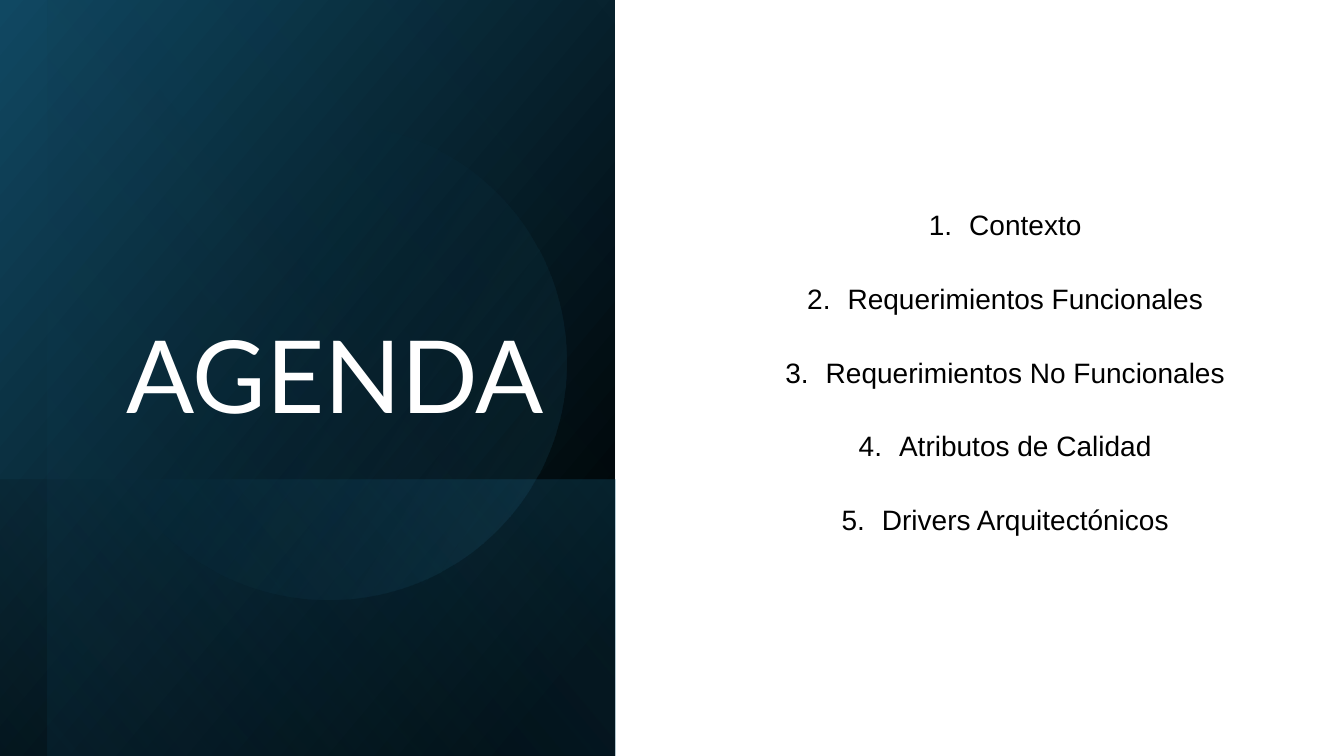
from lxml import etree
from pptx import Presentation
from pptx.dml.color import RGBColor
from pptx.enum.shapes import MSO_SHAPE
from pptx.enum.text import MSO_ANCHOR, MSO_AUTO_SIZE, PP_ALIGN
from pptx.oxml.ns import qn
from pptx.util import Inches, Pt

RECT, OVAL = MSO_SHAPE.RECTANGLE, MSO_SHAPE.OVAL
MIDDLE, BOTTOM = MSO_ANCHOR.MIDDLE, MSO_ANCHOR.BOTTOM
CENTER, RIGHT = PP_ALIGN.CENTER, PP_ALIGN.RIGHT

COLORS = {
    "black": "000000",
    "white": "FFFFFF",
    "deep": "104862",
    "teal": "156082",
    "sky": "46B1E1",
}
TOPICS = [
    "Contexto",
    "Requerimientos Funcionales",
    "Requerimientos No Funcionales",
    "Atributos de Calidad",
    "Drivers Arquitectónicos",
]


def shade(shape, stops, angle):
    """Fill with a linear gradient; each stop is (percent, color, opacity)."""
    props = shape._element.spPr
    grad = etree.Element(qn("a:gradFill"), rotWithShape="1")
    items = etree.SubElement(grad, qn("a:gsLst"))
    for pos, name, alpha in stops:
        stop = etree.SubElement(items, qn("a:gs"), pos=str(pos * 1000))
        color = etree.SubElement(stop, qn("a:srgbClr"), val=COLORS[name])
        if alpha < 100:
            etree.SubElement(color, qn("a:alpha"), val=str(alpha * 1000))
    etree.SubElement(grad, qn("a:lin"), ang=str(angle * 60000), scaled="0")
    props.find(qn("a:prstGeom")).addnext(grad)


def add_layer(slide, kind, box, stops, angle, turn=90, flip=True):
    """Add a turned gradient shape that covers the box as seen."""
    left, top, wide, high = box
    x, y = left + (wide - high) / 2, top + (high - wide) / 2
    shape = slide.shapes.add_shape(
        kind, Inches(x), Inches(y), Inches(high), Inches(wide))
    shape.rotation = turn
    if flip:
        shape._element.spPr.find(qn("a:xfrm")).set("flipH", "1")
    shape.shadow.inherit = False
    shape.line.fill.background()
    shade(shape, stops, angle)


def number(para, font):
    props = para._p.get_or_add_pPr()
    props.set("marL", str(Inches(0.8)))
    props.set("indent", str(Inches(-0.4)))
    etree.SubElement(props, qn("a:buFont"), typeface=font)
    etree.SubElement(props, qn("a:buAutoNum"), type="arabicPeriod")


def write(shape, lines, size, font, color, align, anchor,
          leading, gap=0, numbered=False):
    frame = shape.text_frame
    frame.word_wrap = True
    frame.auto_size = MSO_AUTO_SIZE.NONE
    frame.vertical_anchor = anchor
    for i, line in enumerate(lines):
        para = frame.add_paragraph() if i else frame.paragraphs[0]
        if numbered:
            number(para, font)
        para.alignment = align
        para.line_spacing = leading
        para.space_before = Pt(gap if i else 0)
        run = para.add_run()
        run.text = line
        run.font.size = Pt(size)
        run.font.name = font
        run.font.color.rgb = RGBColor.from_string(COLORS[color])


def add_panel(slide, box):
    left, top, wide, high = box
    add_layer(slide, RECT, box,
              [(8, "black", 100), (100, "deep", 100)], 50)
    add_layer(slide, RECT, (left, top + high - 2.74, wide, 2.74),
              [(2, "teal", 29), (100, "black", 30)], 130)
    add_layer(slide, RECT, (left + 0.47, top, wide - 0.47, high),
              [(0, "black", 0), (99, "teal", 11)], 130)
    add_layer(slide, OVAL, (left + 0.9, top + 1.23, 4.72, 4.72),
              [(39, "teal", 0), (100, "sky", 15)], 290, 101.6, False)
    title = slide.shapes.title
    title.left, title.top = Inches(left + 0.76), Inches(top + 1.63)
    title.width, title.height = Inches(4.74), Inches(2.74)
    slide.shapes._spTree.append(title._element)
    write(title, ["AGENDA"], 72, "Lato", "white", RIGHT, BOTTOM, 0.9)


def add_topics(slide, box):
    shape = slide.shapes.add_textbox(*map(Inches, box))
    write(shape, TOPICS, 20, "Arial", "black", CENTER, MIDDLE,
          Pt(47.6), gap=5, numbered=True)


def main():
    deck = Presentation()
    deck.slide_width, deck.slide_height = Inches(13.33), Inches(7.5)
    slide = deck.slides.add_slide(deck.slide_layouts[5])
    add_panel(slide, (0, 0, 6.1, 7.5))
    add_topics(slide, (7.11, 0.49, 5.32, 6.07))
    deck.save("out.pptx")


if __name__ == "__main__":
    main()
